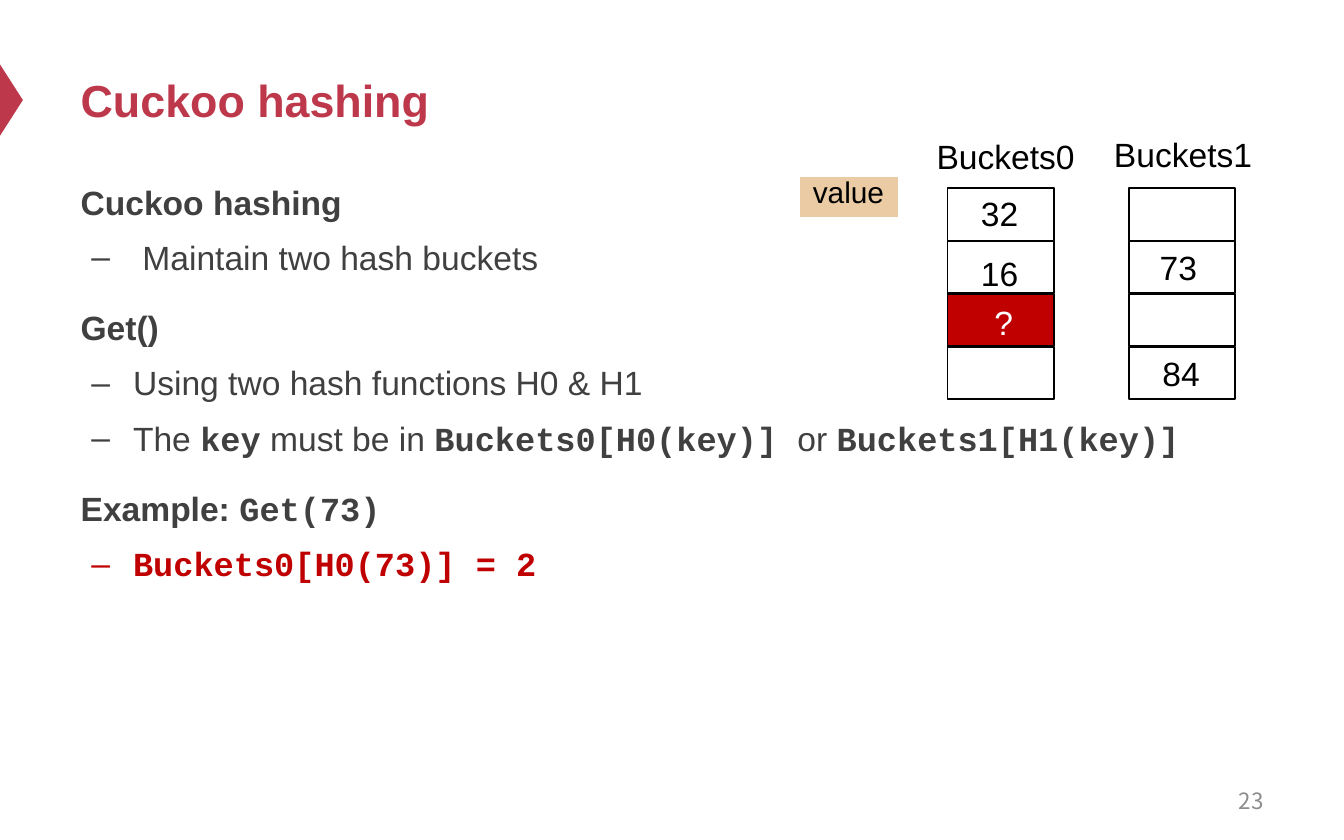
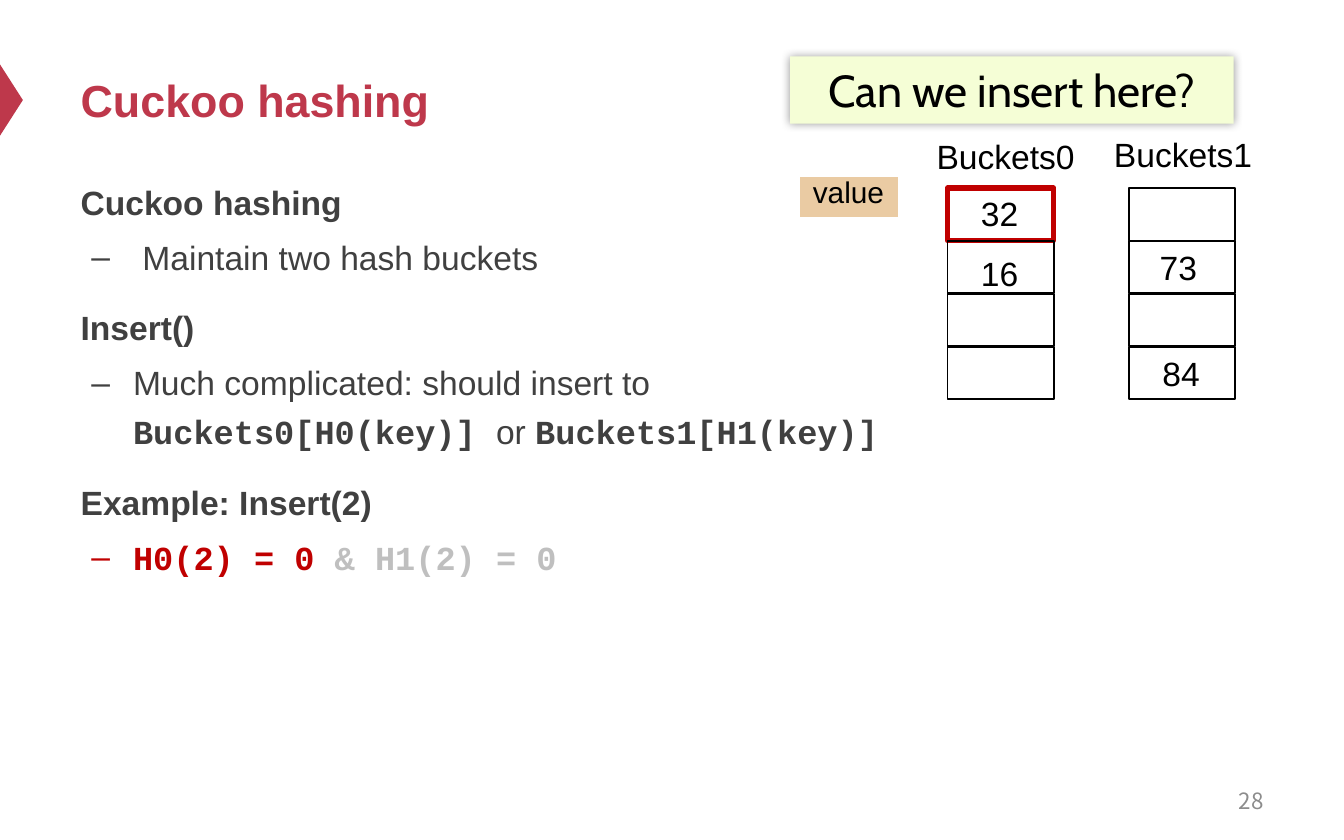
import pptx
import pptx.dml.color
import pptx.enum.shapes
import pptx.enum.text
import pptx.oxml
import pptx.oxml.ns
import pptx.util

Inches = pptx.util.Inches
Pt = pptx.util.Pt
RGBColor = pptx.dml.color.RGBColor
Shape = pptx.enum.shapes.MSO_SHAPE
Anchor = pptx.enum.text.MSO_ANCHOR
Align = pptx.enum.text.PP_ALIGN
AutoSize = pptx.enum.text.MSO_AUTO_SIZE

CRIMSON = RGBColor(0xBE, 0x38, 0x4B)
RED = RGBColor(0xC0, 0x00, 0x00)
DARK = RGBColor(0x40, 0x40, 0x40)
GRAY = RGBColor(0x8C, 0x8C, 0x8C)
PALE_GRAY = RGBColor(0xBF, 0xBF, 0xBF)
TAN = RGBColor(0xEA, 0xCB, 0xA3)
LIME = RGBColor(0xF5, 0xFE, 0xD6)
BLACK = RGBColor(0, 0, 0)
WHITE = RGBColor(0xFF, 0xFF, 0xFF)

SANS = "Arial"
CODE = "Courier New"
NUMBER_FONT = "Noto Sans CJK SC"
CALLOUT_FONT = "Cabin"

CELL_WIDTH, CELL_HEIGHT = 0.79, 0.39
CELL_TOP, CELL_STEP = 1.4, 0.393
BUCKET_LEFTS = (7.05, 8.4)
CELL_VALUES = [("32", 7.2, 1.39), ("16", 7.2, 1.83), ("73", 8.53, 1.79), ("84", 8.55, 2.58)]
BUCKET_LABELS = [("Buckets0", 6.87, 0.96), ("Buckets1", 8.19, 0.95)]
CURVES = [
    ((7.23, 1.61), (7.05, 1.68), (6.87, 1.75), (6.76, 1.74)),
    ((6.76, 1.74), (6.64, 1.74), (6.59, 1.66), (6.54, 1.59)),
]
CURVE_STEPS = 12

DRAWING = 'xmlns:a="http://schemas.openxmlformats.org/drawingml/2006/main"'
CALLOUT_SHADOW = (
    f'<a:effectLst {DRAWING}><a:outerShdw blurRad="63500" dist="0" dir="0" algn="ctr" rotWithShape="0">'
    '<a:srgbClr val="000000"><a:alpha val="40000"/></a:srgbClr></a:outerShdw></a:effectLst>'
)

MAINTAIN = [
    (0, [("Cuckoo hashing", SANS, True, DARK)]),
    (1, [(" Maintain two hash buckets", SANS, False, DARK)]),
]
BUCKET_CHOICE = [
    ("Buckets0[H0(key)] ", CODE, True, DARK),
    ("or ", SANS, False, DARK),
    ("Buckets1[H1(key)]", CODE, True, DARK),
]
SLIDES = [
    {
        "number": "23",
        "body_width": 9,
        "marked_fill": (0, 2),
        "marked_line": None,
        "callout": None,
        "body": MAINTAIN + [
            (0, [("Get()", SANS, True, DARK)]),
            (1, [("Using two hash functions H0 & H1", SANS, False, DARK)]),
            (1, [("The ", SANS, False, DARK), ("key", CODE, True, DARK),
                 (" must be in ", SANS, False, DARK)] + BUCKET_CHOICE),
            (0, [("Example: ", SANS, True, DARK), ("Get(73)", CODE, True, DARK)]),
            (1, [("Buckets0[H0(73)] = 2", CODE, True, RED)]),
        ],
    },
    {
        "number": "28",
        "body_width": 6.67,
        "marked_fill": None,
        "marked_line": (0, 0),
        "callout": "Can we insert here?",
        "body": MAINTAIN + [
            (0, [("Insert()", SANS, True, DARK)]),
            (1, [("Much complicated: should insert to ", SANS, False, DARK)] + BUCKET_CHOICE),
            (0, [("Example: Insert(2)", SANS, True, DARK)]),
            (1, [("H0(2) = 0 ", CODE, True, RED), ("& H1(2) = 0", CODE, True, PALE_GRAY)]),
        ],
    },
]


def add_run(paragraph, text, size, color, font=SANS, bold=False):
    run = paragraph.add_run()
    run.text = text
    run.font.name = font
    run.font.size = Pt(size)
    run.font.bold = bold
    run.font.color.rgb = color


def add_label(slide, text, left, top, width, height, size=18, color=BLACK, font=SANS, wrap=False):
    label = slide.shapes.add_textbox(Inches(left), Inches(top), Inches(width), Inches(height))
    label.text_frame.word_wrap = wrap
    add_run(label.text_frame.paragraphs[0], text, size, color, font)
    return label


presentation = pptx.Presentation()
presentation.slide_width = Inches(10)
presentation.slide_height = Inches(6.25)

for content in SLIDES:
    slide = presentation.slides.add_slide(presentation.slide_layouts[1])

    marker = slide.shapes.add_shape(
        Shape.ISOSCELES_TRIANGLE, Inches(-0.18), Inches(0.66), Inches(0.53), Inches(0.17))
    marker.rotation = 90
    marker.shadow.inherit = False
    marker.fill.solid()
    marker.fill.fore_color.rgb = CRIMSON
    marker.line.fill.background()

    title = slide.shapes.title
    title.left, title.top, title.width, title.height = Inches(0.5), Inches(0.25), Inches(9), Inches(0.98)
    title.text_frame.vertical_anchor = Anchor.MIDDLE
    title.text_frame.auto_size = AutoSize.NONE
    title.text_frame.paragraphs[0].alignment = Align.LEFT
    add_run(title.text_frame.paragraphs[0], "Cuckoo hashing", 24, CRIMSON, bold=True)

    body = slide.placeholders[1]
    body.left, body.top = Inches(0.5), Inches(1.24)
    body.width, body.height = Inches(content["body_width"]), Inches(4.12)
    body.text_frame.auto_size = AutoSize.NONE
    for index, (level, runs) in enumerate(content["body"]):
        paragraph = body.text_frame.add_paragraph() if index else body.text_frame.paragraphs[0]
        paragraph.level = level
        paragraph.line_spacing = 1.2
        paragraph.space_before = Pt(0 if index == 0 else 3.6 if level else 12)
        properties = paragraph._p.get_or_add_pPr()
        properties.set("marL", str(Inches(0.39 * level)))
        properties.set("indent", str(Inches(-0.31 * level)))
        bullet = f'<a:buChar {DRAWING} char="–"/>' if level else f"<a:buNone {DRAWING}/>"
        properties.append(pptx.oxml.parse_xml(bullet))
        for text, font, bold, color in runs:
            add_run(paragraph, text, 18, color, font, bold)

    number = add_label(slide, content["number"], 7.17, 5.79, 2.33, 0.33, 12, GRAY, NUMBER_FONT, True)
    number.text_frame.vertical_anchor = Anchor.MIDDLE
    number.text_frame.paragraphs[0].alignment = Align.RIGHT

    for bucket, left in enumerate(BUCKET_LEFTS):
        for row in range(4):
            cell = slide.shapes.add_shape(
                Shape.RECTANGLE, Inches(left), Inches(CELL_TOP + row * CELL_STEP),
                Inches(CELL_WIDTH), Inches(CELL_HEIGHT))
            cell.shadow.inherit = False
            cell.fill.background()
            cell.line.color.rgb = BLACK
            cell.line.width = Pt(1)
            if (bucket, row) == content["marked_fill"]:
                cell.fill.solid()
                cell.fill.fore_color.rgb = RED
                add_label(slide, "?", 7.3, 2.2, 0.4, 0.4, color=WHITE)
            if (bucket, row) == content["marked_line"]:
                cell.line.color.rgb = RED
                cell.line.width = Pt(3)

    for text, left, top in CELL_VALUES:
        add_label(slide, text, left, top, 0.48, 0.4)
    for text, left, top in BUCKET_LABELS:
        add_label(slide, text, left, top, 1.31, 0.4, wrap=True)

    value_tag = slide.shapes.add_shape(
        Shape.RECTANGLE, Inches(5.94), Inches(1.3), Inches(0.76), Inches(0.33))
    value_tag.shadow.inherit = False
    value_tag.fill.solid()
    value_tag.fill.fore_color.rgb = TAN
    value_tag.line.color.rgb = WHITE
    value_tag.line.width = Pt(2)
    add_label(slide, "value", 5.95, 1.24, 0.74, 0.37, 16)

    points = []
    for start, first, second, end in CURVES:
        for step in range(1, CURVE_STEPS + 1):
            t = step / CURVE_STEPS
            points.append(tuple(
                (1 - t) ** 3 * a + 3 * (1 - t) ** 2 * t * b + 3 * (1 - t) * t ** 2 * c + t ** 3 * d
                for a, b, c, d in zip(start, first, second, end)))
    builder = slide.shapes.build_freeform(*CURVES[0][0], scale=Inches(1))
    builder.add_line_segments(points, close=False)
    value_curve = builder.convert_to_shape()
    value_curve.shadow.inherit = False
    value_curve.fill.background()
    value_curve.line.color.rgb = BLACK
    value_curve.line.width = Pt(1)

    if content["callout"]:
        callout = slide.shapes.add_shape(
            Shape.RECTANGLE, Inches(5.88), Inches(0.42), Inches(3.3), Inches(0.5))
        callout.fill.solid()
        callout.fill.fore_color.rgb = LIME
        callout.line.fill.background()
        callout._element.spPr.append(pptx.oxml.parse_xml(CALLOUT_SHADOW))
        callout.text_frame.word_wrap = True
        callout.text_frame.paragraphs[0].alignment = Align.CENTER
        add_run(callout.text_frame.paragraphs[0], content["callout"], 24, BLACK, CALLOUT_FONT)

presentation.save("out.pptx")
